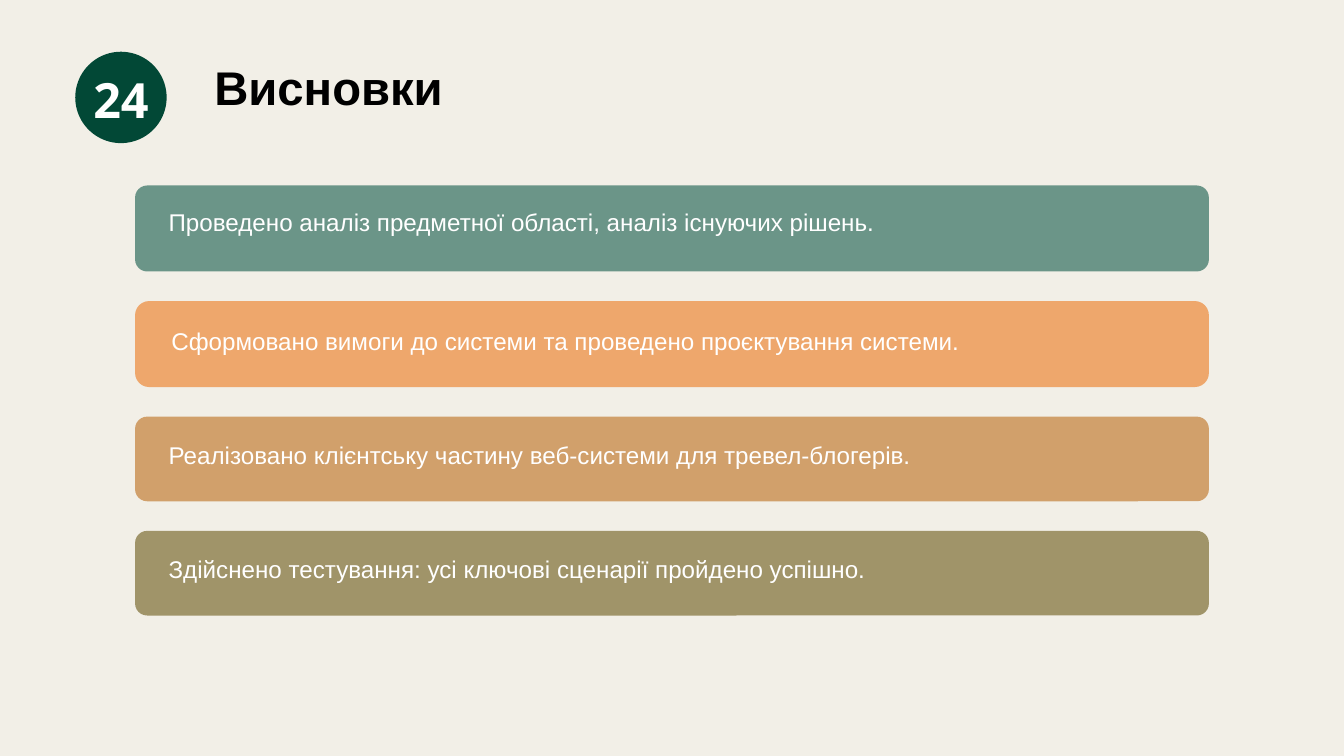
import pptx
import pptx.dml.color
import pptx.enum.shapes
import pptx.enum.text
import pptx.util
from pptx.util import Inches

SHAPES = pptx.enum.shapes.MSO_SHAPE
ALIGN = pptx.enum.text.PP_ALIGN

THEME = {
    "background": "F2EFE7",
    "badge": "024836",
    "title": {"font": "Arial", "size": 50.6, "line": 60.7, "color": "000000", "bold": True},
    "body": {"font": "Arial", "size": 25.9, "line": 40.7, "color": "FFFFFF", "bold": False},
    "number": {"font": "Open Sans", "size": 52, "line": 72.8, "color": "FFFFFF", "bold": True},
}

TITLE = "Висновки"
NUMBER = "24"
# text, bar colour, bar height, corner radius, text left, text top
CONCLUSIONS = [
    ("Проведено аналіз предметної області, аналіз існуючих рішень.",
     "6B9588", 1.28, 0.18, 2.51, 2.95),
    ("Сформовано вимоги до системи та проведено проєктування системи.",
     "EEA76C", 1.28, 0.21, 2.55, 4.72),
    ("Реалізовано клієнтську частину веб-системи для тревел-блогерів.",
     "D1A06B", 1.26, 0.18, 2.51, 6.42),
    ("Здійснено тестування: усі ключові сценарії пройдено успішно.",
     "A09469", 1.26, 0.18, 2.51, 8.12),
]
BAR_LEFT, BAR_TOP, BAR_WIDTH, BAR_GAP = 2.01, 2.76, 15.98, 0.44


def rgb(color):
    return pptx.dml.color.RGBColor.from_string(color)


def add_filled_shape(slide, kind, left, top, width, height, color):
    shape = slide.shapes.add_shape(
        kind, Inches(left), Inches(top), Inches(width), Inches(height))
    shape.shadow.inherit = False
    shape.fill.solid()
    shape.fill.fore_color.rgb = rgb(color)
    shape.line.fill.background()
    return shape


def add_text(slide, text, left, top, width, height, style, align=ALIGN.LEFT):
    box = slide.shapes.add_textbox(
        Inches(left), Inches(top), Inches(width), Inches(height))
    frame = box.text_frame
    frame.margin_left = frame.margin_right = frame.margin_top = frame.margin_bottom = 0
    frame.word_wrap = True
    frame.text = text
    para = frame.paragraphs[0]
    para.alignment = align
    para.line_spacing = pptx.util.Pt(style["line"])
    font = para.runs[0].font
    font.name = style["font"]
    font.size = pptx.util.Pt(style["size"])
    font.bold = style["bold"]
    font.color.rgb = rgb(style["color"])


def main():
    deck = pptx.Presentation()
    deck.slide_width, deck.slide_height = Inches(20), Inches(11.25)
    slide = deck.slides.add_slide(deck.slide_layouts[6])
    slide.background.fill.solid()
    slide.background.fill.fore_color.rgb = rgb(THEME["background"])

    add_filled_shape(slide, SHAPES.OVAL, 1.12, 0.77, 1.36, 1.36, THEME["badge"])
    add_text(slide, TITLE, 3.19, 0.87, 11.99, 1, THEME["title"])

    bar_top = BAR_TOP
    for text, color, height, radius, text_left, text_top in CONCLUSIONS:
        bar = add_filled_shape(slide, SHAPES.ROUNDED_RECTANGLE,
                               BAR_LEFT, bar_top, BAR_WIDTH, height, color)
        bar.adjustments[0] = radius / height
        add_text(slide, text, text_left, text_top, 15.44, 0.62, THEME["body"])
        bar_top += height + BAR_GAP

    add_text(slide, NUMBER, 1.12, 0.9, 1.36, 0.97, THEME["number"], ALIGN.CENTER)
    deck.save("out.pptx")


if __name__ == "__main__":
    main()
